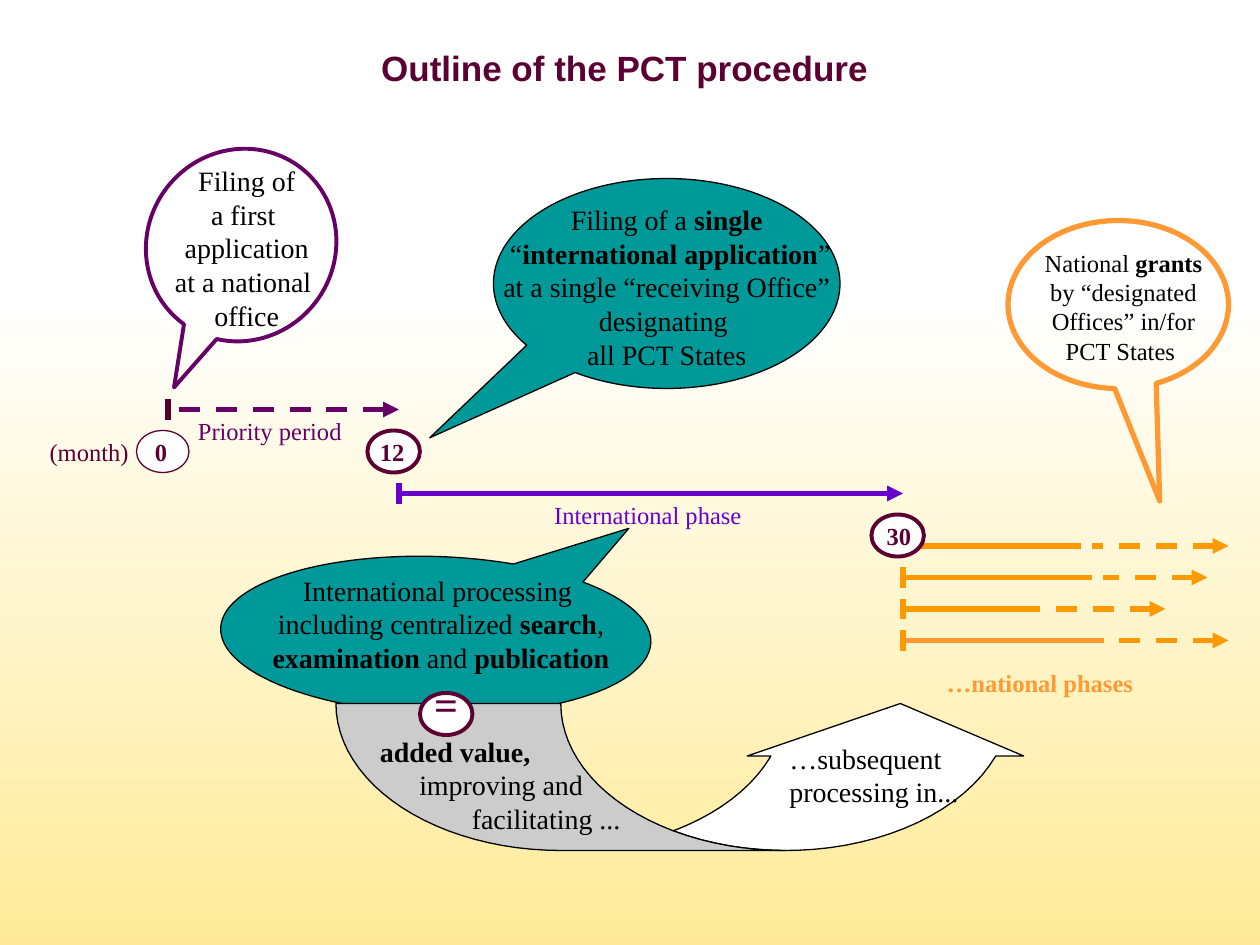
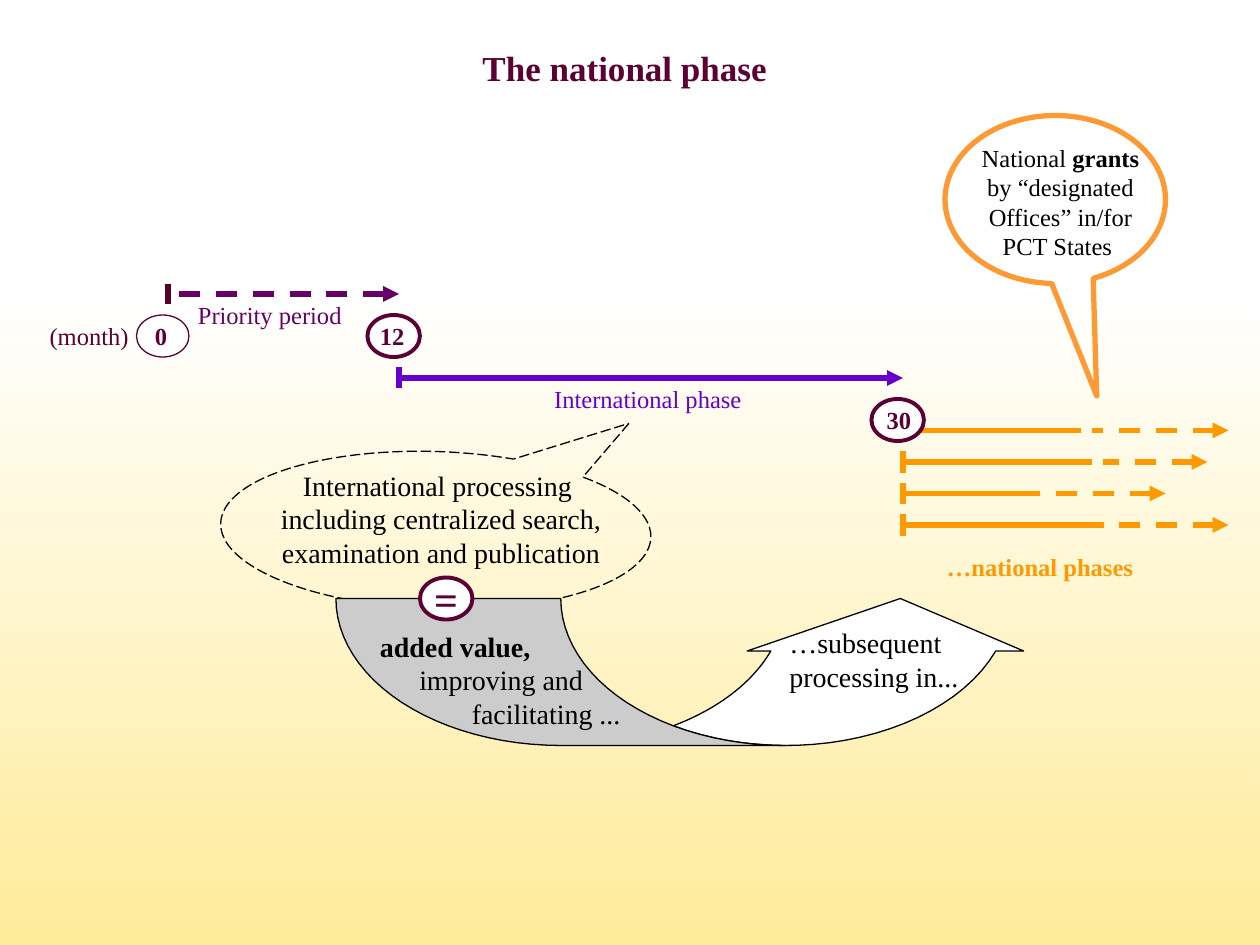
from dataclasses import dataclass
from math import asin, cos, degrees, radians, sin

from lxml import etree
from pptx import Presentation
from pptx.dml.color import RGBColor
from pptx.enum.dml import MSO_LINE
from pptx.enum.shapes import MSO_CONNECTOR, MSO_SHAPE
from pptx.enum.text import MSO_ANCHOR, MSO_AUTO_SIZE, PP_ALIGN
from pptx.oxml.ns import qn
from pptx.util import Pt

LEFT, CENTER = PP_ALIGN.LEFT, PP_ALIGN.CENTER
DASH, LONG_DASH = MSO_LINE.DASH, MSO_LINE.LONG_DASH
OVAL, CALLOUT, RECT = MSO_SHAPE.OVAL, MSO_SHAPE.OVAL_CALLOUT, MSO_SHAPE.RECTANGLE
STRAIGHT = MSO_CONNECTOR.STRAIGHT
TOP = MSO_ANCHOR.TOP
NO_AUTOFIT = MSO_AUTO_SIZE.NONE
TITLE_ONLY = 5


@dataclass(frozen=True)
class Theme:
    sans: str = "Arial"
    serif: str = "Times New Roman"
    title: int = 20
    body: int = 16
    label: int = 14
    sign: int = 24
    hairline: float = 0.75
    outline: float = 2.25
    bar: float = 3
    black: str = "000000"
    white: str = "FFFFFF"
    cream: str = "FFEB99"
    grey: str = "CCCCCC"
    maroon: str = "5C0033"
    dark_maroon: str = "54002A"
    purple: str = "660066"
    violet: str = "6600CC"
    teal: str = "009999"
    orange: str = "FF9900"
    soft_orange: str = "FF9933"


THEME = Theme()


def rgb(colour):
    return RGBColor.from_string(colour)


def write(frame, text, size=THEME.label, colour=THEME.black, bold=False,
          font=THEME.serif, align=LEFT, indents=()):
    """Write one paragraph per line; asterisks switch bold on and off."""
    settings = {"word_wrap": True, "auto_size": NO_AUTOFIT, "vertical_anchor": TOP,
                "margin_left": Pt(7.2), "margin_right": Pt(7.2),
                "margin_top": Pt(3.6), "margin_bottom": Pt(3.6)}
    for name, value in settings.items():
        setattr(frame, name, value)
    for row, line in enumerate(text.split("\n")):
        paragraph = frame.add_paragraph() if row else frame.paragraphs[0]
        paragraph.alignment = align
        paragraph.space_before = Pt(0)
        if indents:
            paragraph._p.get_or_add_pPr().set("marL", str(Pt(indents[row])))
        for part, words in enumerate(line.split("*")):
            if not words:
                continue
            run = paragraph.add_run()
            run.text = words
            style = {"name": font, "size": Pt(size), "bold": bold or part % 2 == 1}
            for name, value in style.items():
                setattr(run.font, name, value)
            run.font.color.rgb = rgb(colour)


def add_text(slide, box, text, **style):
    frame = slide.shapes.add_textbox(*map(Pt, box)).text_frame
    write(frame, text, **style)


def paint(shape, fill, colour, width, dash=None):
    shape.shadow.inherit = False
    if fill:
        shape.fill.solid()
        shape.fill.fore_color.rgb = rgb(fill)
    else:
        shape.fill.background()
    shape.line.color.rgb = rgb(colour)
    shape.line.width = Pt(width)
    if dash:
        shape.line.dash_style = dash


def add_callout(slide, box, pointer, fill, colour, width, rotation=0, dash=None):
    bubble = slide.shapes.add_shape(CALLOUT, *map(Pt, box))
    for index, offset in enumerate(pointer):
        bubble.adjustments[index] = offset
    bubble.rotation = rotation
    paint(bubble, fill, colour, width, dash)


def add_line(slide, start, end, colour, dash=None, arrow=False):
    """Draw a bar; the arrowhead, if any, sits at the start."""
    bar = slide.shapes.add_connector(STRAIGHT, *map(Pt, (*start, *end)))
    bar.line.color.rgb = rgb(colour)
    bar.line.width = Pt(THEME.bar)
    if dash:
        bar.line.dash_style = dash
    if arrow:
        etree.SubElement(bar.line._ln, qn("a:headEnd"), type="triangle")
    etree.SubElement(bar._element.spPr, qn("a:effectLst"))


def add_tick(slide, x, y, colour):
    add_line(slide, (x, y - 6), (x, y + 6), colour)


def add_badge(slide, left, top, width=THEME.outline):
    oval = slide.shapes.add_shape(OVAL, *map(Pt, (left, top, 30, 24)))
    paint(oval, THEME.white, THEME.maroon, width)


def add_month(slide, left, top, month, shift=0, width=THEME.outline):
    add_badge(slide, left, top, width)
    add_text(slide, (left + shift, top, 32, 24.5), month, colour=THEME.maroon, bold=True)


def add_national_phases(slide, left, top, accent):
    """Draw one bar per designated Office: solid, then dashed to an arrow."""
    # start, solid end, dashed start, tip
    bars = [(6, 102, 108, 186), (0, 108, 114, 174), (0, 72, 72, 150), (0, 114, 114, 186)]
    for row, (start, solid_end, dash_start, tip) in enumerate(bars):
        y = top + 18 * row
        solid = accent if row == len(bars) - 1 else THEME.orange
        add_line(slide, (left + solid_end, y), (left + start, y), solid)
        add_line(slide, (left + tip, y), (left + dash_start, y), THEME.orange, DASH, True)
        if row:
            add_tick(slide, left, y, THEME.orange)
    add_text(slide, (left + 18, top + 66, 126, 24.5), "…national phases",
             colour=accent, bold=True)


def add_timeline(slide, left, top, accent):
    month_12, month_30 = left + 132, left + 420
    international = top + 48
    add_line(slide, (month_12, top), (left, top), THEME.purple, DASH, True)
    add_tick(slide, left, top, THEME.dark_maroon)
    add_line(slide, (month_30, international), (month_12, international),
             THEME.violet, arrow=True)
    add_tick(slide, month_12, international, THEME.violet)
    labels = [(-78, 12, 66, "(month)", THEME.maroon),
              (6, 0, 108, "Priority period ", THEME.purple),
              (210, 48, 132, "International phase ", THEME.violet)]
    for x, y, width, text, colour in labels:
        add_text(slide, (left + x, top + y, width, 24.5), text, colour=colour, align=CENTER)
    add_national_phases(slide, month_30, top + 78, accent)
    add_month(slide, left - 18, top + 12, "0", 3.4, THEME.hairline)
    add_month(slide, month_12 - 18, top + 12, "12")
    add_month(slide, month_30 - 18, top + 60, "30", 1.5)


def add_outline(slide, points, fill):
    start, *rest = [(Pt(x), Pt(y)) for x, y in points]
    builder = slide.shapes.build_freeform(*start)
    builder.add_line_segments(rest, close=True)
    paint(builder.convert_to_shape(), fill, THEME.black, THEME.hairline)


def add_curved_arrow(slide, left, top):
    """Draw a grey band that sweeps down and a white arrow that rises from it."""
    radius, depth, head_y = 128.5, 84, 30
    near, far = left + radius, left + 2 * radius

    def arc(centre, first, last, steps=24):
        angles = [radians(first + (last - first) * i / steps) for i in range(steps + 1)]
        return [(centre + radius * cos(a), top + depth * sin(a)) for a in angles]

    neck = degrees(asin(head_y / depth))
    head = [(left + 393, top + head_y), (left + 322.5, top), (left + 235, top + head_y)]
    rising = arc(far, 120, neck) + head + arc(near, neck, 60)
    add_outline(slide, rising, THEME.white)
    add_outline(slide, arc(near, 180, 90) + arc(far, 90, 180), THEME.grey)


def add_processing(slide, left, top, text, fill, dash, lift=0):
    """Place the processing bubble and its arrow; lift raises the loose parts."""
    add_callout(slide, (left, top, 246, 90), (-0.44, 0.719), fill, THEME.black,
                THEME.hairline, 181.9, dash)
    add_text(slide, (left, top + 6, 252, 65), text, size=THEME.body, align=CENTER)
    add_curved_arrow(slide, left + 66, top + 84)
    add_text(slide, (left + 318, top + 102 - lift, 132, 46),
             "…subsequent processing in...", size=THEME.body)
    add_text(slide, (left + 84, top + 98, 192, 65),
             "*added value,*\nimproving and \nfacilitating ...",
             size=THEME.body, indents=(0, 22.5, 52.5))
    add_badge(slide, left + 114, top + 78 - lift)
    add_text(slide, (left + 115, top + 66, 32, 36), "=", size=THEME.sign,
             colour=THEME.maroon, bold=True)


def add_grants(slide, left, top):
    add_callout(slide, (left, top, 126, 96), (0.188, 1.169), None,
                THEME.soft_orange, THEME.bar)
    add_text(slide, (left + 6, top + 12, 120, 75),
             "National* grants *by “designated Offices” in/for PCT States ", align=CENTER)


def add_first_filing(slide, left, top):
    add_callout(slide, (left + 16, top - 3.6, 111.6, 107.3), (-0.79, 0.168), None,
                THEME.purple, THEME.outline, 306.8)
    add_text(slide, (left, top, 150, 104),
             "Filing of\na first \napplication\nat a national \noffice",
             size=THEME.body, align=CENTER)


def add_international_filing(slide, left, top):
    add_callout(slide, (left, top, 198, 120), (-0.684, 0.735), THEME.teal,
                THEME.black, THEME.hairline)
    add_text(slide, (left - 6, top + 10.3, 210, 104),
             "Filing of a *single*\n “*international application*”\n"
             "at a single “receiving Office”\ndesignating \nall PCT States",
             size=THEME.body, align=CENTER)


def add_titled_slide(prs, text, font):
    slide = prs.slides.add_slide(prs.slide_layouts[TITLE_ONLY])
    title = slide.shapes.title
    place = {"left": 36, "top": 23, "width": 642, "height": 32}
    for name, value in place.items():
        setattr(title, name, Pt(value))
    write(title.text_frame, text, size=THEME.title, colour=THEME.maroon, bold=True,
          font=font, align=CENTER)
    return slide


def add_master_band(prs, slide):
    """Build the gradient band on a slide, then move it behind the master."""
    band = slide.shapes.add_shape(RECT, *map(Pt, (0, 168, 720, 372)))
    band.shadow.inherit = False
    band.line.fill.background()
    band.fill.gradient()
    band.fill.gradient_angle = 270
    for stop, colour in zip(band.fill.gradient_stops, (THEME.white, THEME.cream)):
        stop.color.rgb = rgb(colour)
    band._element.nvSpPr.cNvPr.set("id", "99")
    prs.slide_master.shapes._spTree.insert(2, band._element)


def build_outline(prs):
    slide = add_titled_slide(prs, "Outline of the PCT procedure", THEME.sans)
    add_master_band(prs, slide)
    add_timeline(slide, 96, 234, THEME.soft_orange)
    add_international_filing(slide, 282, 102)
    add_first_filing(slide, 66, 90)
    add_processing(slide, 126, 318,
                   "International processing \nincluding centralized *search*, "
                   "*examination* and *publication*", THEME.teal, None)
    add_grants(slide, 576, 126)


def build_national_phase(prs):
    slide = add_titled_slide(prs, "The national phase", THEME.serif)
    add_timeline(slide, 96, 168, THEME.orange)
    add_processing(slide, 126, 258,
                   "International processing \nincluding centralized search, "
                   "examination and publication", None, LONG_DASH, lift=6)
    add_grants(slide, 540, 66)


def main():
    prs = Presentation()
    prs.slide_width, prs.slide_height = Pt(720), Pt(540)
    build_outline(prs)
    build_national_phase(prs)
    prs.save("out.pptx")


if __name__ == "__main__":
    main()
